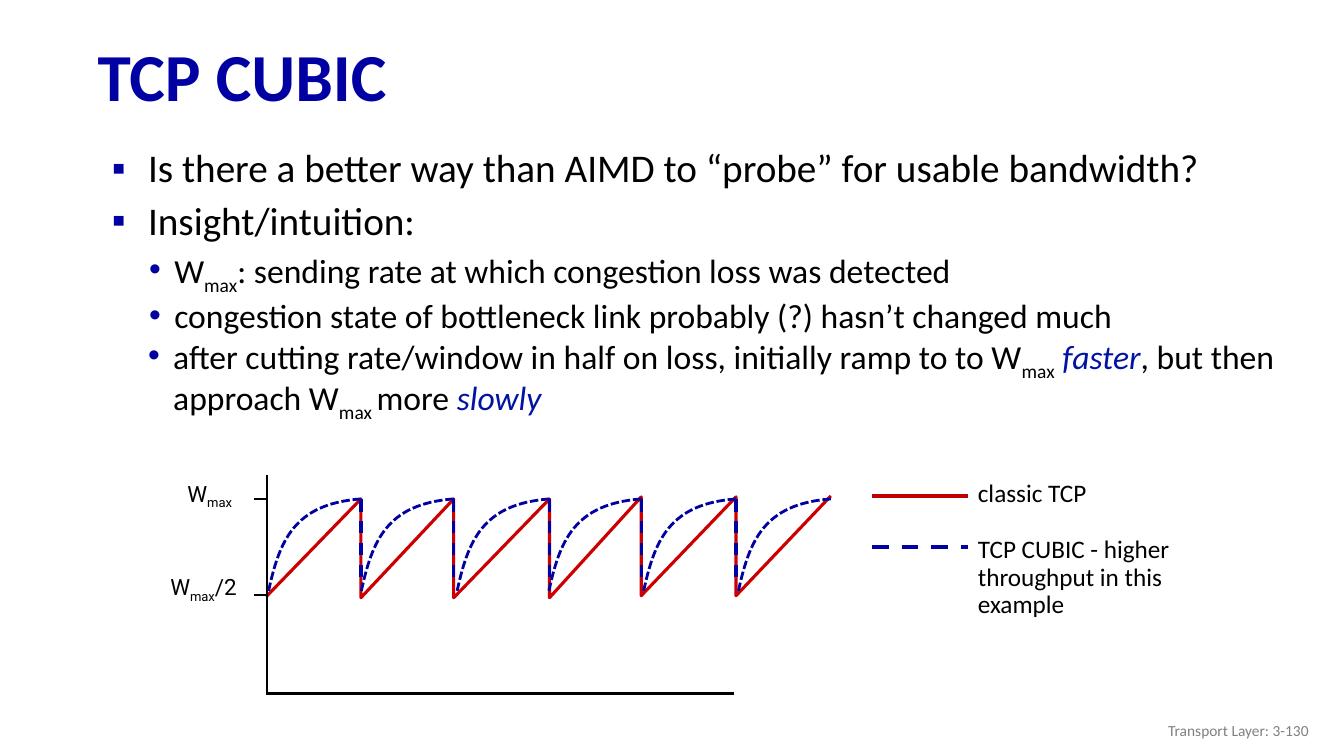
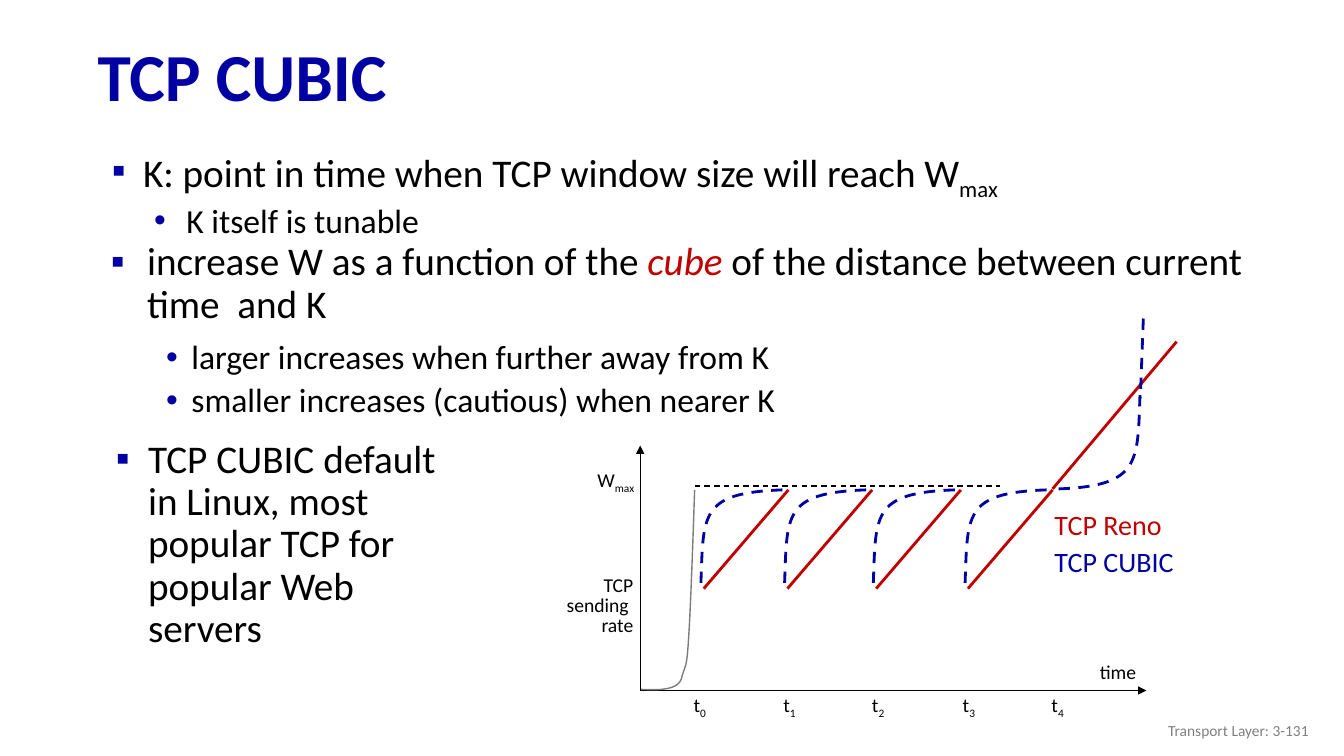
from lxml import etree
from pptx import Presentation
from pptx.dml.color import RGBColor
from pptx.enum.dml import MSO_LINE
from pptx.enum.shapes import MSO_CONNECTOR
from pptx.enum.text import MSO_ANCHOR, PP_ALIGN
from pptx.oxml.ns import qn
from pptx.util import Inches, Pt

STRAIGHT = MSO_CONNECTOR.STRAIGHT
DASH, SHORT_DASH = MSO_LINE.DASH, MSO_LINE.SQUARE_DOT
TOP, MIDDLE = MSO_ANCHOR.TOP, MSO_ANCHOR.MIDDLE
RIGHT = PP_ALIGN.RIGHT

BLACK, NAVY, BRIGHT_NAVY = "000000", "0000A3", "0013A3"
RED, DARK_RED = "CC0000", "C00000"
GRAY, DARK_GRAY = "808080", "7C7C7C"

TITLE = dict(size=48, color=NAVY, bold=True, line=0.9)
FOOTER = dict(size=11, color=GRAY, align=RIGHT)
BULLET = dict(size=28, line=0.9, before=10, bullet="▪", left=0.5, hang=0.36)
SUB_BULLET = dict(size=24, line=0.9, before=5, bullet="•", left=0.76, hang=0.25)
AXIS = dict(size=16, font="Roboto")
LEGEND = dict(size=18, line=0.9)
SMALL = dict(size=14, line=0.85, align=RIGHT)
CURVE_NAME = dict(size=20, line=0.85, before=6)

SUB = "sub"
W_MAX = ["W", ("max", SUB)]


def add_text(s, box, paragraphs, wrap=True, anchor=TOP):
    tf = s.shapes.add_textbox(*map(Inches, box)).text_frame
    tf.word_wrap = wrap
    tf.vertical_anchor = anchor
    for i, (runs, style) in enumerate(paragraphs):
        p = tf.add_paragraph() if i else tf.paragraphs[0]
        p.line_spacing = style.get("line", 1.0)
        p.space_before = Pt(style.get("before", 0) if i else 0)
        p.alignment = style.get("align")
        if "bullet" in style:
            pPr = p._p.get_or_add_pPr()
            pPr.set("marL", str(Inches(style["left"])))
            pPr.set("indent", str(-Inches(style["hang"])))
            color = etree.SubElement(pPr, qn("a:buClr"))
            etree.SubElement(color, qn("a:srgbClr"), val=NAVY)
            etree.SubElement(pPr, qn("a:buFont"), typeface="Arial")
            etree.SubElement(pPr, qn("a:buChar"), char=style["bullet"])
        for run in [runs] if isinstance(runs, str) else runs:
            words, accent = (run, None) if isinstance(run, str) else run
            r = p.add_run()
            r.text = words
            r.font.name = style.get("font", "Calibri")
            r.font.size = Pt(style["size"])
            r.font.bold = style.get("bold", False)
            color = style.get("color", BLACK)
            if accent == SUB:
                r._r.get_or_add_rPr().set("baseline", "-25000")
            elif accent:
                r.font.italic = True
                color = accent
            r.font.color.rgb = RGBColor.from_string(color)


def add_stroke(s, points, color, width, dash=None, curved=False, arrow=False):
    places = [(Inches(x), Inches(y)) for x, y in points]
    if len(places) == 2:
        sp = s.shapes.add_connector(STRAIGHT, *places[0], *places[1])
    else:
        builder = s.shapes.build_freeform(*places[0])
        builder.add_line_segments(places[1:], close=False)
        sp = builder.convert_to_shape()
        sp.fill.background()
    if curved:
        outline = next(sp._element.iter(qn("a:path")))
        segments = outline.findall(qn("a:lnTo"))
        for i in range(0, len(segments), 3):
            bezier = etree.SubElement(outline, qn("a:cubicBezTo"))
            for segment in segments[i:i + 3]:
                bezier.append(segment[0])
                outline.remove(segment)
    sp.line.color.rgb = RGBColor.from_string(color)
    sp.line.width = Pt(width)
    if dash:
        sp.line.dash_style = dash
    if arrow:
        etree.SubElement(sp.line._get_or_add_ln(), qn("a:tailEnd"), type="triangle")
    etree.SubElement(sp._element.spPr, qn("a:effectLst"))


prs = Presentation()
prs.slide_width, prs.slide_height = Inches(13.33), Inches(7.5)

slides = []
for number in (130, 131):
    s = prs.slides.add_slide(prs.slide_layouts[6])
    add_text(s, (0.87, 0.3, 12.46, 0.98), [("TCP CUBIC", TITLE)], anchor=MIDDLE)
    add_text(s, (10.08, 7.05, 3, 0.4), [(f"Transport Layer: 3-{number}", FOOTER)], anchor=MIDDLE)
    slides.append(s)

s = slides[0]
add_text(s, (0.87, 1.43, 12.21, 5.08), [
    ("Is there a better way than AIMD to “probe” for usable bandwidth?", BULLET)])
add_text(s, (0.87, 1.95, 12.21, 5.08), [
    ("Insight/intuition:", BULLET),
    (W_MAX + [": sending rate at which congestion loss was detected"], SUB_BULLET),
    ("congestion state of bottleneck link probably (?) hasn’t changed much", SUB_BULLET)])
add_text(s, (0.86, 3.29, 12.21, 0.98), [
    (["after cutting rate/window in half on loss, initially ramp to to W", ("max", SUB), " ",
      ("faster", BRIGHT_NAVY), ", but then approach W", ("max ", SUB), "more ",
      ("slowly", BRIGHT_NAVY)], SUB_BULLET)])

peaks = [(3.58, 4.95), (4.5, 4.95), (5.45, 4.95), (6.36, 4.93), (7.3, 4.93), (8.24, 4.92)]
sawtooth = [(2.64, 5.92)]
for x, y in peaks:
    sawtooth += [(x, y), (x, y + 0.98)]
add_stroke(s, sawtooth[:-1], RED, 2.25)

add_stroke(s, [(2.64, 6.88), (7.28, 6.88)], BLACK, 1.5)
add_stroke(s, [(2.65, 4.71), (2.65, 6.89)], BLACK, 1.5)
for y in (4.95, 5.9):
    add_stroke(s, [(2.52, y), (2.64, y)], BLACK, 1.5)
add_text(s, (1.76, 4.71, 0.68, 0.37), [(W_MAX, AXIS)], wrap=False)
add_text(s, (1.59, 5.64, 0.89, 0.37), [(W_MAX + ["/2"], AXIS)], wrap=False)

for x, y in peaks:
    add_stroke(s, [(x, 4.95), (x - 0.67, 5), (x - 0.81, 5.37), (x - 0.92, 5.88)],
               NAVY, 2, SHORT_DASH, curved=True)
for x, y in peaks[:-1]:
    add_stroke(s, [(x, 4.95), (x, 5.82)], NAVY, 2.25, DASH)

for y, color, dash in ((4.92, DARK_RED, None), (5.43, NAVY, DASH)):
    add_stroke(s, [(8.65, y), (9.6, y)], color, 3, dash)
add_text(s, (9.6, 4.69, 1.29, 0.4), [("classic TCP", dict(size=18))], wrap=False)
add_text(s, (9.6, 5.28, 2.39, 0.92), [
    ("TCP CUBIC - higher throughput in this example", LEGEND)])

s = slides[1]
add_text(s, (0.87, 1.43, 12.21, 1.04), [
    (["K: point in time when TCP window size will reach W", ("max", SUB)],
     {**BULLET, "left": 0.45, "hang": 0.31}),
    ("K itself is tunable", {**SUB_BULLET, "left": 0.88, "hang": 0.32})])
add_text(s, (0.86, 2.35, 12.21, 2.21), [
    (["increase W as a function of the ", ("cube", DARK_RED),
      " of the distance between current time  and K"], BULLET)])
add_text(s, (1.04, 3.33, 11.25, 1.09), [
    ("larger increases when further away from K", SUB_BULLET),
    ("smaller increases (cautious) when nearer K", SUB_BULLET)])
add_text(s, (0.87, 4.31, 3.78, 2.21), [
    ("TCP CUBIC default in Linux, most popular TCP for popular Web servers",
     {**BULLET, "hang": 0.32})])

origin = (6.35, 6.85)
for end in ((11.37, 6.85), (6.35, 4.42)):
    add_stroke(s, [origin, end], BLACK, 1, arrow=True)
slow_start = [(6.89, 4.86), (6.87, 5.46), (6.85, 6.03), (6.83, 6.34), (6.81, 6.65),
              (6.8, 6.58), (6.76, 6.73), (6.72, 6.87), (6.45, 6.84), (6.36, 6.84)]
add_stroke(s, slow_start, DARK_GRAY, 1, curved=True)
add_stroke(s, [(6.89, 4.82), (9.92, 4.82)], BLACK, 1, DASH)

for x in (7.82, 8.65, 9.53, 10.44):
    add_stroke(s, [(x, 4.86), (x - 0.84, 5.84)], DARK_RED, 2)
    add_stroke(s, [(x - 0.06, 4.86), (x - 0.9, 4.89), (x - 0.84, 5.11), (x - 0.87, 5.84)],
               NAVY, 2, DASH, curved=True)
add_stroke(s, [(10.44, 4.85), (11.67, 3.39)], DARK_RED, 2)
add_stroke(s, [(10.5, 4.85), (11.34, 4.82), (11.28, 4.57), (11.31, 3.84)],
           NAVY, 2, DASH, curved=True)
add_stroke(s, [(11.34, 3.16), (11.31, 3.95)], NAVY, 2, DASH)

add_text(s, (5.5, 5.67, 0.88, 0.97), [
    (line, SMALL) for line in ("TCP", "sending ", "rate")], wrap=False)
add_text(s, (5.79, 4.61, 0.6, 0.31), [(W_MAX, SMALL)], wrap=False)
add_text(s, (10.81, 6.5, 0.57, 0.34), [("time", dict(size=14))], wrap=False)
add_text(s, (10.36, 5.04, 1.39, 1.03), [
    ("TCP Reno", {**CURVE_NAME, "color": DARK_RED}),
    ("TCP CUBIC", {**CURVE_NAME, "color": NAVY})], wrap=False)
for i, x in enumerate((6.76, 7.65, 8.53, 9.43, 10.31)):
    add_text(s, (x, 6.84, 0.34, 0.31), [(["t", (str(i), SUB)], SMALL)], wrap=False)

prs.save("out.pptx")
